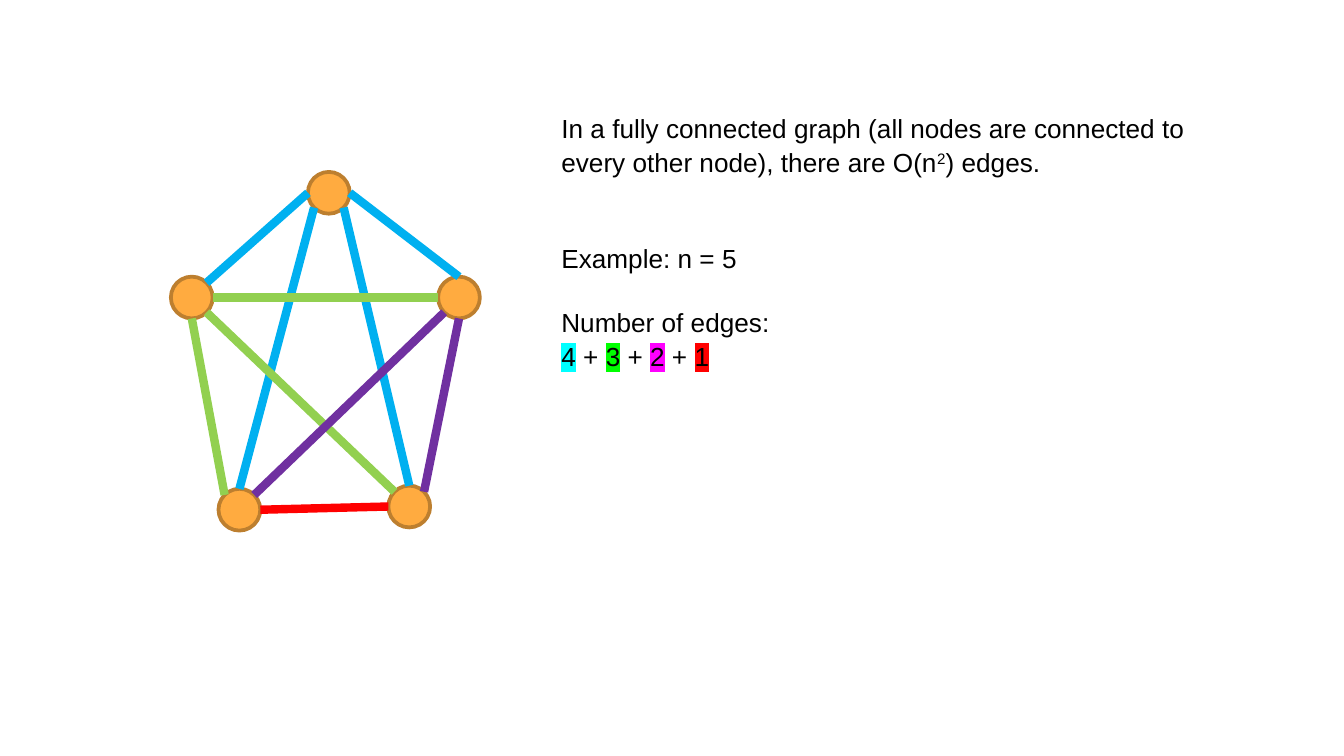
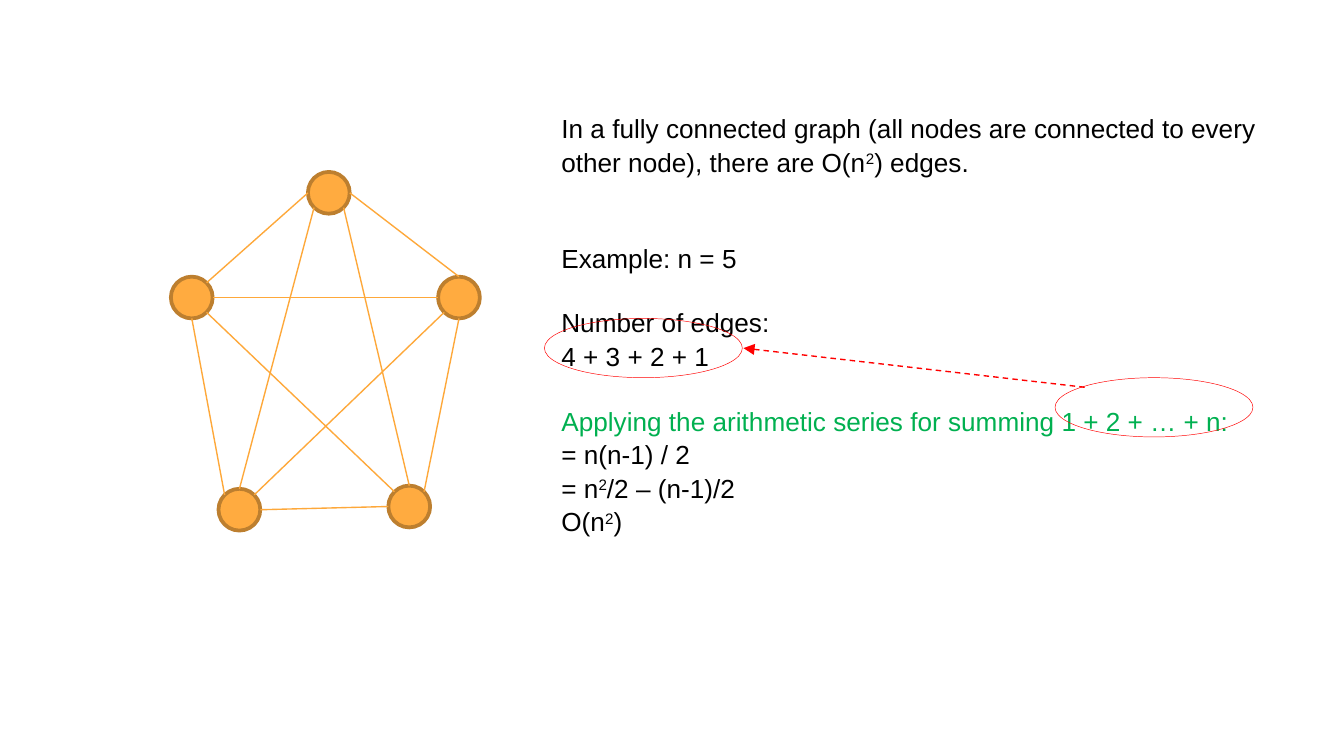
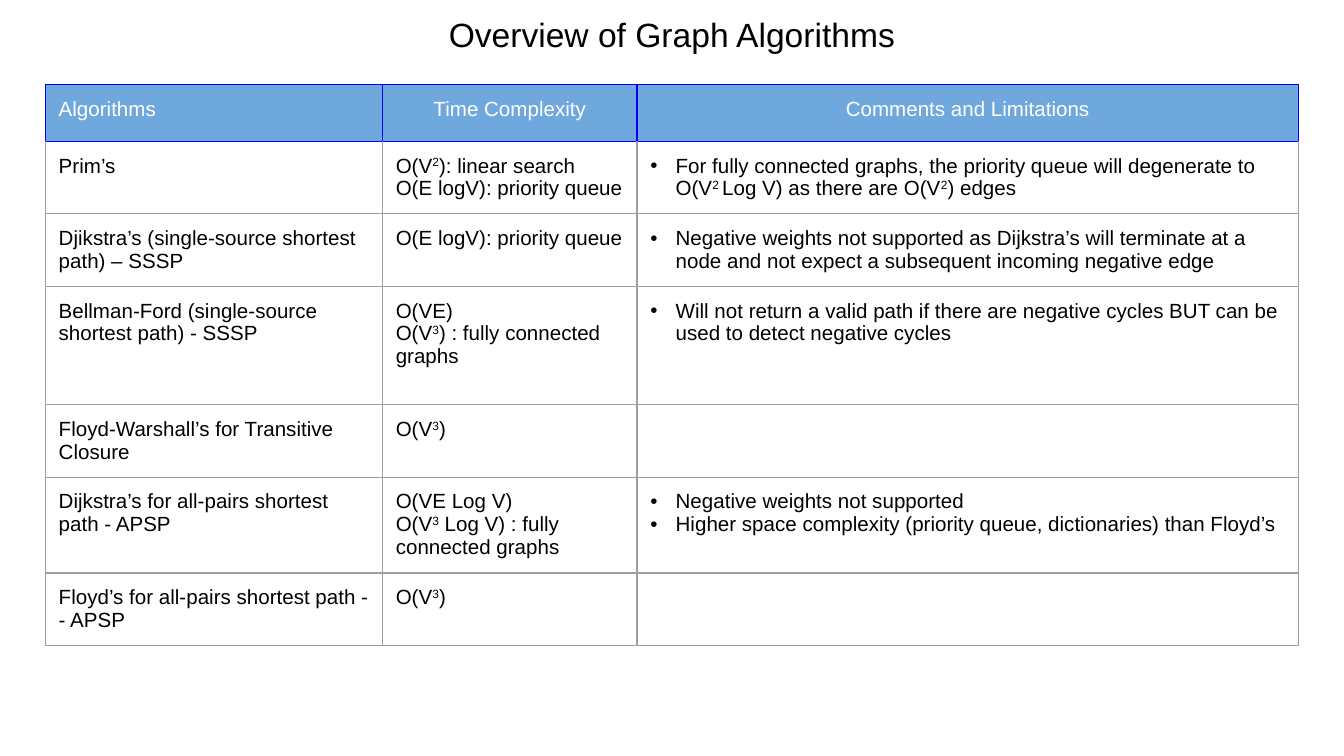
from math import cos, radians, sin

from lxml import etree
from pptx import Presentation
from pptx.dml.color import RGBColor
from pptx.enum.dml import MSO_LINE
from pptx.enum.shapes import MSO_CONNECTOR, MSO_SHAPE
from pptx.enum.text import MSO_ANCHOR, PP_ALIGN
from pptx.oxml.ns import qn
from pptx.util import Cm, Pt

STRAIGHT = MSO_CONNECTOR.STRAIGHT
OVAL = MSO_SHAPE.OVAL
DASH = MSO_LINE.DASH
BOTTOM, TOP = MSO_ANCHOR.BOTTOM, MSO_ANCHOR.TOP
LEFT, CENTER = PP_ALIGN.LEFT, PP_ALIGN.CENTER

FONT = "Arial"
BLACK, WHITE, RED, GREEN = "000000", "FFFFFF", "FF0000", "00B050"
NODE_FILL, NODE_LINE, EDGE = "FFAB40", "BD7F2F", "FEA83A"
HEADER_FILL, HEADER_BORDER, GRID = "6FA8DC", "0000FF", "9E9E9E"
HIGHLIGHTS = {"4": "00FFFF", "3": "00FF00", "2": "FF00FF", "1": RED}
MARGIN = 0.25
BLANK_LINE = 16.75

NODE_SIZE = 0.79
NODES = {
    "top": (5.82, 3.25),
    "left": (3.23, 5.23),
    "right": (8.28, 5.23),
    "bottom left": (4.13, 9.24),
    "bottom right": (7.34, 9.18),
}
EDGES = [
    ("top", 180, "left", 45, "00B0F0"),
    ("top", 225, "bottom left", 90, "00B0F0"),
    ("top", 315, "bottom right", 90, "00B0F0"),
    ("top", 0, "right", 90, "00B0F0"),
    ("left", 0, "right", 180, "92D050"),
    ("left", 270, "bottom left", 135, "92D050"),
    ("bottom left", 0, "bottom right", 180, RED),
    ("bottom right", 45, "right", 270, "7030A0"),
    ("left", 315, "bottom right", 135, "92D050"),
    ("right", 225, "bottom left", 45, "7030A0"),
]

INTRODUCTION = [
    (0, BLACK, ["In a fully connected graph (all nodes are connected to every other node), there are O(n",
                "^2", ") edges."]),
    (2, BLACK, ["Example: n = 5"]),
    (1, BLACK, ["Number of edges:"]),
]
COUNT = INTRODUCTION + [(0, BLACK, ["4", " + ", "3", " + ", "2", " + ", "1"])]
DERIVATION = INTRODUCTION + [
    (0, BLACK, ["4 + 3 + 2 + 1"]),
    (1, GREEN, ["Applying the arithmetic series for summing 1 + 2 + … + n:"]),
    (0, BLACK, ["= n(n-1) / 2"]),
    (0, BLACK, ["= n", "^2", "/2 – (n-1)/2"]),
    (0, BLACK, ["O(n", "^2", ")"]),
]
SUM_OVALS = [(19.94, 7.14), (10.29, 6.02)]
SUM_ARROW = (20.5, 7.32, 14.05, 6.58)

TITLE = "Overview of Graph Algorithms"
HEADERS = ["Algorithms", "Time Complexity", "Comments and Limitations"]
CUBIC = ["O(V", "^3", ")"]
ALGORITHMS = [
    ("Prim’s",
     [["O(V", "^2", "): linear search"], ["O(E logV): priority queue"]],
     [["For fully connected graphs, the priority queue will degenerate to O(V", "^2 ",
       "Log V) as there are O(V", "^2", ") edges"]]),
    ("Djikstra’s (single-source shortest path) – SSSP",
     [["O(E logV): priority queue"]],
     [["Negative weights not supported as Dijkstra’s will terminate at a node "
       "and not expect a subsequent incoming negative edge"]]),
    ("Bellman-Ford (single-source shortest path) - SSSP",
     [["O(VE)"], ["O(V", "^3", ") : fully connected graphs"]],
     [["Will not return a valid path if there are negative cycles BUT can be "
       "used to detect negative cycles"]]),
    ("Floyd-Warshall’s for Transitive Closure", [CUBIC], []),
    ("Dijkstra’s for all-pairs shortest path - APSP",
     [["O(VE Log V)"], ["O(V", "^3", " Log V) : fully connected graphs"]],
     [["Negative weights not supported"],
      ["Higher space complexity (priority queue, dictionaries) than Floyd’s"]]),
    ("Floyd’s for all-pairs shortest path - - APSP", [CUBIC], []),
]
COLUMN_WIDTHS = [6.37, 4.81, 12.5]
ROW_HEIGHTS = [1.07, 1.37, 1.37, 2.24, 1.37, 1.81, 1.37]


def color(value):
    return RGBColor.from_string(value)


def write_runs(paragraph, texts, size, font_color):
    """Add runs; a leading ^ marks a superscript, listed digits are highlighted."""
    for text in texts:
        run = paragraph.add_run()
        run.text = text.removeprefix("^")
        run.font.size = Pt(size)
        run.font.color.rgb = color(font_color)
        run.font.name = FONT
        properties = run.font._element
        if text.startswith("^"):
            properties.set("baseline", "30000")
        if text in HIGHLIGHTS:
            highlight = etree.Element(qn("a:highlight"))
            etree.SubElement(highlight, qn("a:srgbClr"), val=HIGHLIGHTS[text])
            properties.find(qn("a:latin")).addprevious(highlight)


def paragraphs_for(text_frame, items):
    for index, item in enumerate(items):
        yield (text_frame.add_paragraph() if index else text_frame.paragraphs[0]), item


def set_margins(target):
    target.margin_left = target.margin_right = Cm(MARGIN)
    target.margin_top = target.margin_bottom = Cm(MARGIN)


def add_line(slide, ends, line_color, width):
    line = slide.shapes.add_connector(STRAIGHT, *map(Cm, ends))
    line.line.color.rgb = color(line_color)
    line.line.width = Pt(width)
    etree.SubElement(line._element.spPr, qn("a:effectLst"))
    return line


def add_oval(slide, left, top, width, height, line_color, line_width, fill=None):
    oval = slide.shapes.add_shape(OVAL, Cm(left), Cm(top), Cm(width), Cm(height))
    oval.shadow.inherit = False
    if fill:
        oval.fill.solid()
        oval.fill.fore_color.rgb = color(fill)
    else:
        oval.fill.background()
    oval.line.color.rgb = color(line_color)
    oval.line.width = Pt(line_width)


def rim_point(node, angle):
    left, top = NODES[node]
    radius = NODE_SIZE / 2
    return (left + radius * (1 + cos(radians(angle))),
            top + radius * (1 - sin(radians(angle))))


def add_graph_slide(presentation, lines, text_size, edge_width, edge_color=None):
    slide = presentation.slides.add_slide(presentation.slide_layouts[6])
    for left, top in NODES.values():
        add_oval(slide, left, top, NODE_SIZE, NODE_SIZE, NODE_LINE, 2, NODE_FILL)
    for start, start_angle, end, end_angle, group_color in EDGES:
        ends = rim_point(start, start_angle) + rim_point(end, end_angle)
        add_line(slide, ends, edge_color or group_color, edge_width)
    width, height = text_size
    text_frame = slide.shapes.add_textbox(Cm(10.36), Cm(1.96), Cm(width), Cm(height)).text_frame
    text_frame.word_wrap = True
    for paragraph, (blank_lines, font_color, texts) in paragraphs_for(text_frame, lines):
        paragraph.line_spacing = 1.07
        paragraph.space_before = Pt(blank_lines * BLANK_LINE)
        write_runs(paragraph, texts, 14, font_color)
    return slide


def add_sum_marks(slide):
    for left, top in SUM_OVALS:
        add_oval(slide, left, top, 3.74, 1.12, RED, 0.25)
    arrow = add_line(slide, SUM_ARROW, RED, 0.75)
    arrow.line.dash_style = DASH
    etree.SubElement(arrow.line._get_or_add_ln(), qn("a:tailEnd"), type="triangle")


def set_borders(cell, border_color, top_color):
    properties = cell._tc.get_or_add_tcPr()
    for index, side in enumerate("LRTB"):
        border = etree.Element(qn(f"a:ln{side}"), w=str(Pt(0.75)))
        fill = etree.SubElement(border, qn("a:solidFill"))
        side_color = top_color if side == "T" else border_color
        etree.SubElement(fill, qn("a:srgbClr"), val=side_color)
        properties.insert(index, border)


def add_bullet(paragraph):
    properties = paragraph._p.get_or_add_pPr()
    properties.set("marL", str(Cm(0.48)))
    properties.set("indent", str(-Cm(0.48)))
    bullet_color = etree.SubElement(properties, qn("a:buClr"))
    etree.SubElement(bullet_color, qn("a:srgbClr"), val=BLACK)
    etree.SubElement(properties, qn("a:buFont"), typeface=FONT)
    etree.SubElement(properties, qn("a:buChar"), char="•")


def fill_cell(cell, paragraphs, row, column):
    header = row == 0
    set_margins(cell)
    cell.vertical_anchor = TOP
    if header:
        cell.fill.solid()
        cell.fill.fore_color.rgb = color(HEADER_FILL)
    else:
        cell.fill.background()
    set_borders(cell, HEADER_BORDER if header else GRID, HEADER_BORDER if row < 2 else GRID)
    for paragraph, texts in paragraphs_for(cell.text_frame, paragraphs):
        paragraph.alignment = CENTER if header and column else LEFT
        if column == 2 and not header:
            add_bullet(paragraph)
        write_runs(paragraph, texts, 11, WHITE if header else BLACK)


def add_overview_slide(presentation):
    slide = presentation.slides.add_slide(presentation.slide_layouts[5])
    title = slide.shapes.title
    title.left, title.top, title.width, title.height = Cm(0.86), Cm(0), Cm(23.68), Cm(1.27)
    set_margins(title.text_frame)
    title.text_frame.vertical_anchor = BOTTOM
    paragraph = title.text_frame.paragraphs[0]
    paragraph.alignment = CENTER
    write_runs(paragraph, [TITLE], 18, BLACK)

    rows = [[[[header]] for header in HEADERS]]
    rows += [[[[name]], complexity, comments] for name, complexity, comments in ALGORITHMS]
    table = slide.shapes.add_table(
        len(rows), len(HEADERS), Cm(0.86), Cm(1.6),
        Cm(sum(COLUMN_WIDTHS)), Cm(sum(ROW_HEIGHTS))).table
    table.first_row = table.horz_banding = False
    for column, width in zip(table.columns, COLUMN_WIDTHS):
        column.width = Cm(width)
    for row_index, (cells, height) in enumerate(zip(rows, ROW_HEIGHTS)):
        table.rows[row_index].height = Cm(height)
        for column_index, paragraphs in enumerate(cells):
            fill_cell(table.cell(row_index, column_index), paragraphs, row_index, column_index)


def main():
    presentation = Presentation()
    presentation.slide_width, presentation.slide_height = Cm(25.4), Cm(14.29)
    add_graph_slide(presentation, COUNT, (12.93, 5.05), 4.5)
    add_sum_marks(add_graph_slide(presentation, DERIVATION, (13.72, 8.03), 0.75, EDGE))
    add_overview_slide(presentation)
    presentation.save("out.pptx")


if __name__ == "__main__":
    main()
